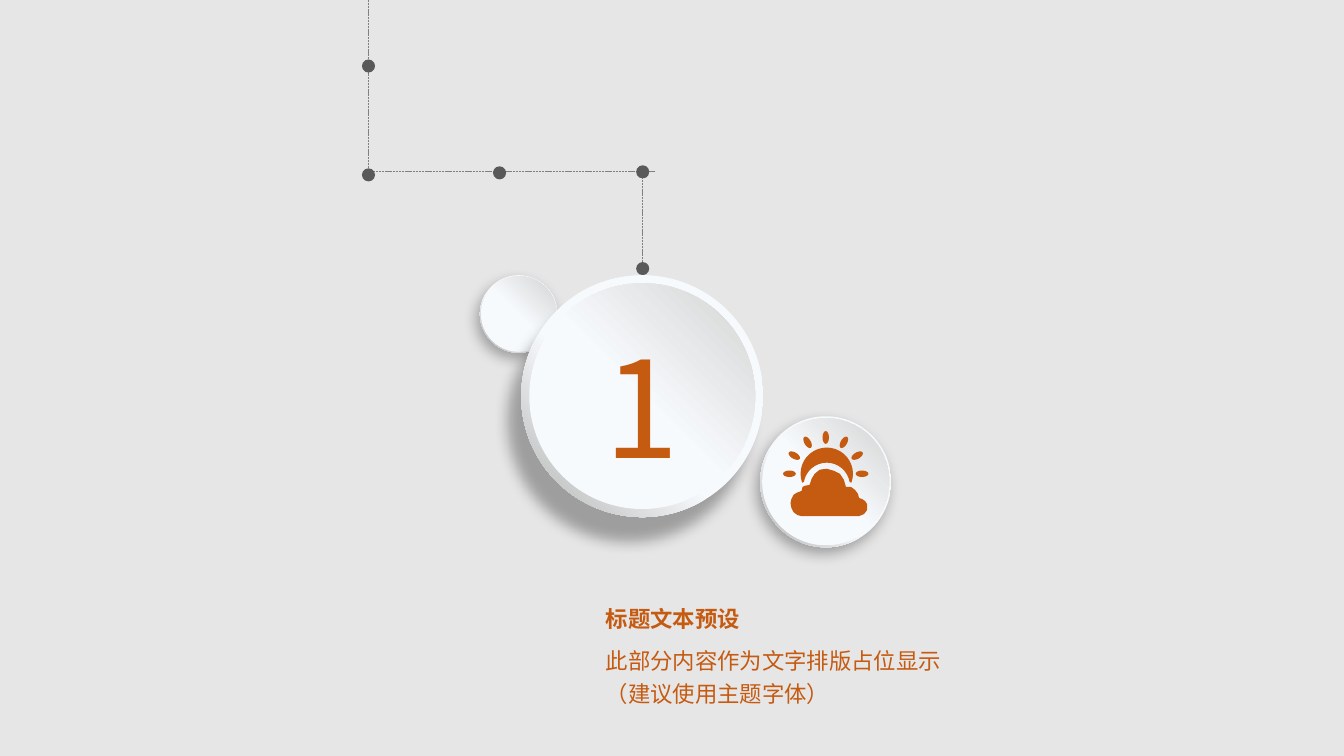
from math import cos, radians, sin

from lxml.etree import SubElement
from pptx import Presentation
from pptx.dml.color import RGBColor
from pptx.enum.dml import MSO_LINE
from pptx.enum.shapes import MSO_CONNECTOR, MSO_SHAPE
from pptx.enum.text import MSO_ANCHOR, MSO_AUTO_SIZE, PP_ALIGN
from pptx.oxml.ns import qn
from pptx.util import Inches, Pt

COLORS = {
    "background": "E7E6E6",
    "accent": "C55A11",
    "dot": "595959",
    "line": "808080",
    "shadow": "000000",
}
RIM = {"stops": [(57, "F7FAFD"), (92, "BFBFBF"), (100, "A6A6A6")], "angle": 135}
FACE = {"stops": [(49, "F7FAFD"), (92, "D9D9D9"), (100, "BFBFBF")], "angle": 315}
FONT = "Noto Sans CJK SC"
TEXT_FORMATS = {
    "number": {"name": FONT, "size": Pt(96), "bold": False},
    "title": {"name": FONT, "size": Pt(16), "bold": True},
    "body": {"name": FONT, "size": Pt(16), "bold": False},
}
CLOUD = [
    (8.52, 4.94), (8.51, 4.9), (8.48, 4.86), (8.44, 4.83), (8.39, 4.83),
    (8.37, 4.76), (8.33, 4.7), (8.27, 4.67), (8.2, 4.65), (8.13, 4.66),
    (8.08, 4.7), (8.05, 4.75), (8.03, 4.81), (7.98, 4.82), (7.96, 4.83),
    (7.95, 4.87), (7.9, 4.89), (7.87, 4.91), (7.85, 4.95), (7.84, 4.99),
    (7.85, 5.04), (7.87, 5.08), (7.91, 5.11), (7.95, 5.12), (8.52, 5.12),
    (8.57, 5.1), (8.6, 5.06), (8.6, 5), (8.58, 4.97), (8.55, 4.95),
]


def rgb(name):
    return RGBColor.from_string(COLORS[name])


def add_ellipse(slide, left, top, size):
    shape = slide.shapes.add_shape(
        MSO_SHAPE.OVAL, Inches(left), Inches(top), Inches(size), Inches(size)
    )
    shape.shadow.inherit = False
    shape.line.fill.background()
    return shape


def set_gradient(shape, gradient):
    shape.fill.gradient()
    shape.fill.gradient_angle = 360 - gradient["angle"]
    stop_list = shape._element.spPr.find(qn("a:gradFill")).find(qn("a:gsLst"))
    for stop in list(stop_list):
        stop_list.remove(stop)
    for position, color in gradient["stops"]:
        stop = SubElement(stop_list, qn("a:gs"), pos=str(position * 1000))
        SubElement(stop, qn("a:srgbClr"), val=color)


def set_shadow(shape, distance):
    effects = shape._element.spPr.find(qn("a:effectLst"))
    shadow = SubElement(
        effects, qn("a:outerShdw"), blurRad=str(Pt(10)), dist=str(Pt(distance)),
        dir=str(120 * 60000), algn="ctr", rotWithShape="0",
    )
    color = SubElement(shadow, qn("a:srgbClr"), val=COLORS["shadow"])
    SubElement(color, qn("a:alpha"), val="31000")


def add_button(slide, left, top, size, rim, distance):
    outer = add_ellipse(slide, left, top, size)
    set_gradient(outer, RIM)
    set_shadow(outer, distance)
    inner = add_ellipse(slide, left + rim, top + rim, size - 2 * rim)
    set_gradient(inner, FACE)


def add_dotted_path(slide, left, top):
    for x1, y1, x2, y2 in [(0, 0, 0, 1.7), (2.85, 1.7, 0, 1.7), (2.72, 1.7, 2.72, 2.69)]:
        connector = slide.shapes.add_connector(
            MSO_CONNECTOR.STRAIGHT, Inches(left + x1), Inches(top + y1),
            Inches(left + x2), Inches(top + y2),
        )
        connector.line.color.rgb = rgb("line")
        connector.line.width = Pt(0.5)
        connector.line.dash_style = MSO_LINE.SQUARE_DOT
        SubElement(connector._element.spPr, qn("a:effectLst"))
    for x, y in [(0, 0.65), (0, 1.73), (1.3, 1.71), (2.72, 1.7), (2.72, 2.66)]:
        dot = add_ellipse(slide, left + x - 0.06, top + y - 0.06, 0.13)
        dot.fill.solid()
        dot.fill.fore_color.rgb = rgb("dot")


def arc(center_x, center_y, radius, start, end, step):
    return [
        (center_x + radius * cos(radians(angle)), center_y + radius * sin(radians(angle)))
        for angle in range(start, end + step, step)
    ]


def ray(center_x, center_y, angle):
    across, along = sin(radians(angle)), cos(radians(angle))
    return [
        (center_x + (0.36 + x) * along - y * across,
         center_y + (0.36 + x) * across + y * along)
        for x, y in [(0.063 * cos(radians(turn)), 0.032 * sin(radians(turn)))
                     for turn in range(0, 360, 20)]
    ]


def add_weather_icon(slide, left, top):
    center_x, center_y = left + 0.42, top + 0.43
    sun = arc(center_x + 0.01, center_y, 0.26, 160, 380, 10)
    sun += reversed(arc(center_x + 0.01, center_y + 0.12, 0.23, 190, 350, 10))
    cloud = [(left + x - 7.77, top + y - 4.27) for x, y in CLOUD]
    contours = [ray(center_x, center_y, angle) for angle in range(180, 361, 30)]
    contours += [sun, cloud]
    builder = None
    for contour in contours:
        points = [(Inches(x), Inches(y)) for x, y in contour]
        if builder is None:
            builder = slide.shapes.build_freeform(*points[0])
        else:
            builder.move_to(*points[0])
        builder.add_line_segments(points[1:], close=True)
    icon = builder.convert_to_shape()
    icon.shadow.inherit = False
    icon.line.fill.background()
    icon.fill.solid()
    icon.fill.fore_color.rgb = rgb("accent")


def write_text(shape, box, text, style, anchor, alignment):
    shape.left, shape.top, shape.width, shape.height = [Inches(value) for value in box]
    frame = shape.text_frame
    frame.word_wrap = True
    frame.auto_size = MSO_AUTO_SIZE.NONE
    frame.vertical_anchor = anchor
    paragraph = frame.paragraphs[0]
    paragraph.text = text
    paragraph.alignment = alignment
    paragraph.space_before = Pt(0)
    for run in paragraph.runs:
        for attribute, value in TEXT_FORMATS[style].items():
            setattr(run.font, attribute, value)
        run.font.color.rgb = rgb("accent")
        SubElement(run._r.get_or_add_rPr(), qn("a:ea"), typeface=FONT)
    return paragraph


def add_number(slide, left, top, width, height):
    box = slide.shapes.add_textbox(0, 0, 0, 0)
    write_text(box, (left, top, width, height), "1", "number", MSO_ANCHOR.TOP, PP_ALIGN.CENTER)
    box.text_frame.margin_left = box.text_frame.margin_right = 0


def add_caption(slide, left, top, width):
    write_text(slide.shapes.title, (left, top, width, 0.36), "标题文本预设",
               "title", MSO_ANCHOR.MIDDLE, PP_ALIGN.LEFT)
    paragraph = write_text(
        slide.placeholders[1], (left, top + 0.36, width, 0.53),
        "此部分内容作为文字排版占位显示\n（建议使用主题字体）",
        "body", MSO_ANCHOR.TOP, PP_ALIGN.LEFT,
    )
    properties = paragraph._p.get_or_add_pPr()
    properties.set("marL", "0")
    properties.set("indent", "0")
    SubElement(properties, qn("a:buNone"))
    paragraph.line_spacing = 1.2


def build_section_slide(presentation):
    slide = presentation.slides.add_slide(presentation.slide_layouts[1])
    slide.background.fill.solid()
    slide.background.fill.fore_color.rgb = rgb("background")
    add_button(slide, 4.76, 2.73, 0.77, 0.01, 5)
    add_dotted_path(slide, 3.65, 0)
    add_button(slide, 5.17, 2.73, 2.4, 0.08, 20)
    add_number(slide, 5.96, 3.17, 0.81, 1.51)
    add_button(slide, 7.54, 4.13, 1.3, 0.02, 5)
    add_weather_icon(slide, 7.77, 4.27)
    add_caption(slide, 5.91, 5.96, 3.91)


def main():
    presentation = Presentation()
    presentation.slide_width = Inches(13.33)
    presentation.slide_height = Inches(7.5)
    build_section_slide(presentation)
    presentation.save("out.pptx")


if __name__ == "__main__":
    main()
